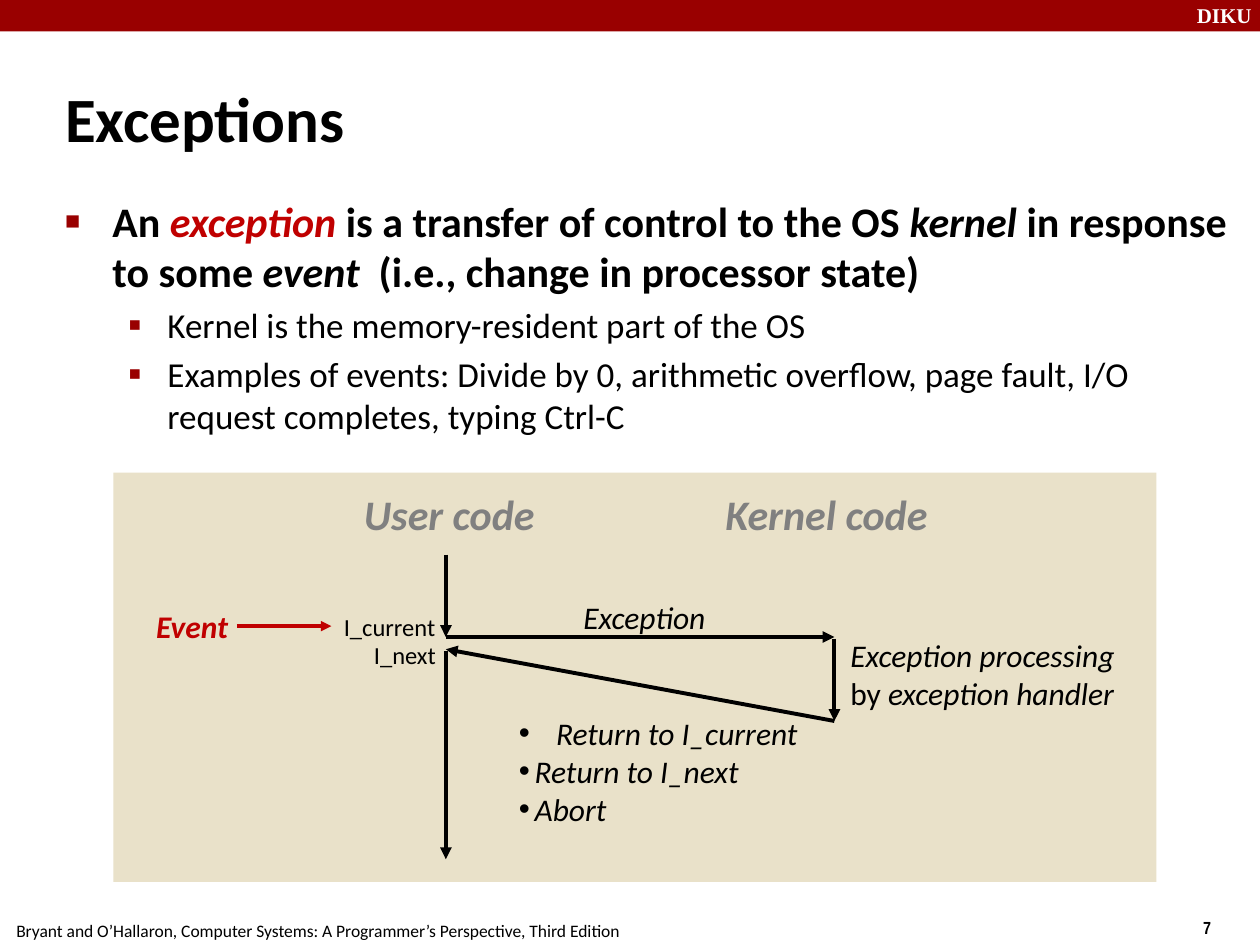
from lxml import etree
from pptx import Presentation
from pptx.dml.color import RGBColor
from pptx.enum import shapes, text
from pptx.oxml import ns
from pptx.util import Pt

BLACK = RGBColor(0x00, 0x00, 0x00)
WHITE = RGBColor(0xFF, 0xFF, 0xFF)
MAROON = RGBColor(0x99, 0x00, 0x00)
RED = RGBColor(0xC0, 0x00, 0x00)
GREY = RGBColor(0x80, 0x80, 0x80)
SAND = RGBColor(0xE9, 0xE1, 0xC9)
WIDTH, HEIGHT = 720, 540


def style(font, size, color=BLACK, bold=False, italic=False, name="Calibri"):
    font.name, font.size = name, Pt(size)
    font.bold, font.italic = bold, italic
    font.color.rgb = color


def add_bullet(paragraph, char, color, percent, margin, hanging):
    """Give a paragraph a bullet; margin and hanging indent are in points."""
    props = paragraph._p.get_or_add_pPr()
    props.set("marL", str(Pt(margin)))
    props.set("indent", str(-Pt(hanging)))
    tint = etree.SubElement(props, ns.qn("a:buClr"))
    etree.SubElement(tint, ns.qn("a:srgbClr"), val=str(color))
    etree.SubElement(props, ns.qn("a:buSzPct"), val=str(percent * 1000))
    etree.SubElement(props, ns.qn("a:buFont"), typeface="Arial")
    etree.SubElement(props, ns.qn("a:buChar"), char=char)


def add_rect(slide, left, top, width, height, color):
    rect = slide.shapes.add_shape(shapes.MSO_SHAPE.RECTANGLE,
                                  Pt(left), Pt(top), Pt(width), Pt(height))
    rect.shadow.inherit = False
    rect.fill.solid()
    rect.fill.fore_color.rgb = color
    rect.line.fill.background()


def add_label(slide, left, top, width, height, words, size, wrap=False, **look):
    """Add a text box with one paragraph per line of words; return its frame."""
    frame = slide.shapes.add_textbox(Pt(left), Pt(top), Pt(width), Pt(height)).text_frame
    frame.word_wrap = wrap
    frame.text = words
    for paragraph in frame.paragraphs:
        style(paragraph.font, size, **look)
    return frame


def add_arrow(slide, x1, y1, x2, y2, color=BLACK, width=2.25):
    arrow = slide.shapes.add_connector(shapes.MSO_CONNECTOR.STRAIGHT,
                                       Pt(x1), Pt(y1), Pt(x2), Pt(y2))
    arrow.line.color.rgb = color
    arrow.line.width = Pt(width)
    etree.SubElement(arrow.line._get_or_add_ln(), ns.qn("a:tailEnd"), type="triangle")
    etree.SubElement(arrow._element.spPr, ns.qn("a:effectLst"))


def place(holder, left, top, width, height):
    """Move a placeholder and return its text frame, set at the top."""
    holder.left, holder.top = Pt(left), Pt(top)
    holder.width, holder.height = Pt(width), Pt(height)
    frame = holder.text_frame
    frame.auto_size = text.MSO_AUTO_SIZE.NONE
    frame.vertical_anchor = text.MSO_ANCHOR.TOP
    frame.word_wrap = True
    return frame


def add_banner(slide, left, top, width, height):
    add_rect(slide, left, top, width, height, MAROON)
    add_label(slide, left + width - 43.2, top - 2, 48, 21.6, "DIKU", 12, wrap=True,
              color=WHITE, bold=True, name="Times New Roman")


def add_footer(slide, left, top, width, height):
    add_label(slide, left + 2.2, top, 364, height,
              "Bryant and O’Hallaron, Computer Systems: "
              "A Programmer’s Perspective, Third Edition", 10)
    add_label(slide, left + width - 39.6, top - 1.4, 24, height, "7", 10,
              bold=True, name="Arial Narrow")


def fill_title(slide, left, top, width, height):
    frame = place(slide.shapes.title, left, top, width, height)
    frame.text = "Exceptions"
    heading = frame.paragraphs[0]
    heading.alignment = text.PP_ALIGN.LEFT
    style(heading.font, 36, bold=True)


def fill_body(slide, left, top, width, height):
    frame = place(slide.placeholders[1], left, top, width, height)
    definition = frame.paragraphs[0]
    add_bullet(definition, "■", MAROON, 60, 27, 27)
    definition.space_before = Pt(0)
    for words, color, italic in (
            ("An ", BLACK, False), ("exception", RED, True),
            (" is a transfer of control to the OS ", BLACK, False),
            ("kernel", BLACK, True), (" in response to some ", BLACK, False),
            ("event", BLACK, True),
            ("  (i.e., change in processor state)", BLACK, False)):
        run = definition.add_run()
        run.text = words
        style(run.font, 24, color, bold=True, italic=italic)
    for words in ("Kernel is the memory-resident part of the OS",
                  "Examples of events: Divide by 0, arithmetic overflow, page fault, "
                  "I/O request completes, typing Ctrl-C"):
        detail = frame.add_paragraph()
        detail.text = words
        detail.level = 1
        add_bullet(detail, "▪", MAROON, 110, 58.5, 22.5)
        detail.space_before = Pt(4)
        style(detail.font, 20)


def add_control_flow(slide, left, top, width, height):
    """Draw the panel with the passage from user code to kernel code and back."""
    add_rect(slide, left, top, width, height, SAND)
    user, kernel = left + 190, left + 412
    raised, handled, resumed = top + 94, top + 142, top + 101

    for words, x, label_width in (("User code", 136, 118), ("Kernel code", 342.7, 136)):
        add_label(slide, left + x, top + 5.8, label_width, 36, words, 24,
                  color=GREY, bold=True, italic=True)

    for ends in ((user, top + 47, user, raised),
                 (user, raised, kernel, raised),
                 (kernel, raised + 1, kernel, handled),
                 (kernel, handled, user, resumed),
                 (user, resumed + 1, user, top + 221)):
        add_arrow(slide, *ends)

    add_label(slide, left + 261.4, top + 68.4, 90, 28.8, "Exception", 18, italic=True)

    handler = add_label(slide, left + 414, top + 90, 172, 72,
                        "Exception processing\n", 18, wrap=True, italic=True)
    for words, italic in (("by ", False), ("exception handler", True)):
        run = handler.paragraphs[1].add_run()
        run.text = words
        run.font.italic = italic

    outcomes = slide.shapes.add_textbox(Pt(left + 224.6), Pt(top + 134.6),
                                        Pt(184), Pt(72)).text_frame
    outcomes.word_wrap = False
    outcomes.text = "Return to I_current\nReturn to I_next\nAbort"
    for outcome, indent in zip(outcomes.paragraphs, (21.3, 9, 9)):
        add_bullet(outcome, "•", BLACK, 100, indent, indent)
        style(outcome.font, 18, italic=True)

    add_label(slide, left + 17.3, top + 73.4, 66, 28.8, "Event", 18, wrap=True,
              color=RED, bold=True, italic=True)
    add_arrow(slide, left + 70.6, top + 87.8, left + 124.6, top + 87.8, RED, 2)
    add_label(slide, left + 124.6, top + 76.3, 72, 23.8, "I_current", 14)
    add_label(slide, left + 141.8, top + 92.2, 55, 23.8, "I_next", 14)


def main():
    deck = Presentation()
    deck.slide_width, deck.slide_height = Pt(WIDTH), Pt(HEIGHT)
    slide = deck.slides.add_slide(deck.slide_layouts[1])
    add_banner(slide, 0, 0, WIDTH, 18)
    add_footer(slide, 0, 522, WIDTH, 19.4)
    fill_title(slide, 30, 42, 264, 45)
    fill_body(slide, 30, 108, 684, 150)
    add_control_flow(slide, 64.8, 270, 596, 234)
    deck.save("out.pptx")


if __name__ == "__main__":
    main()
